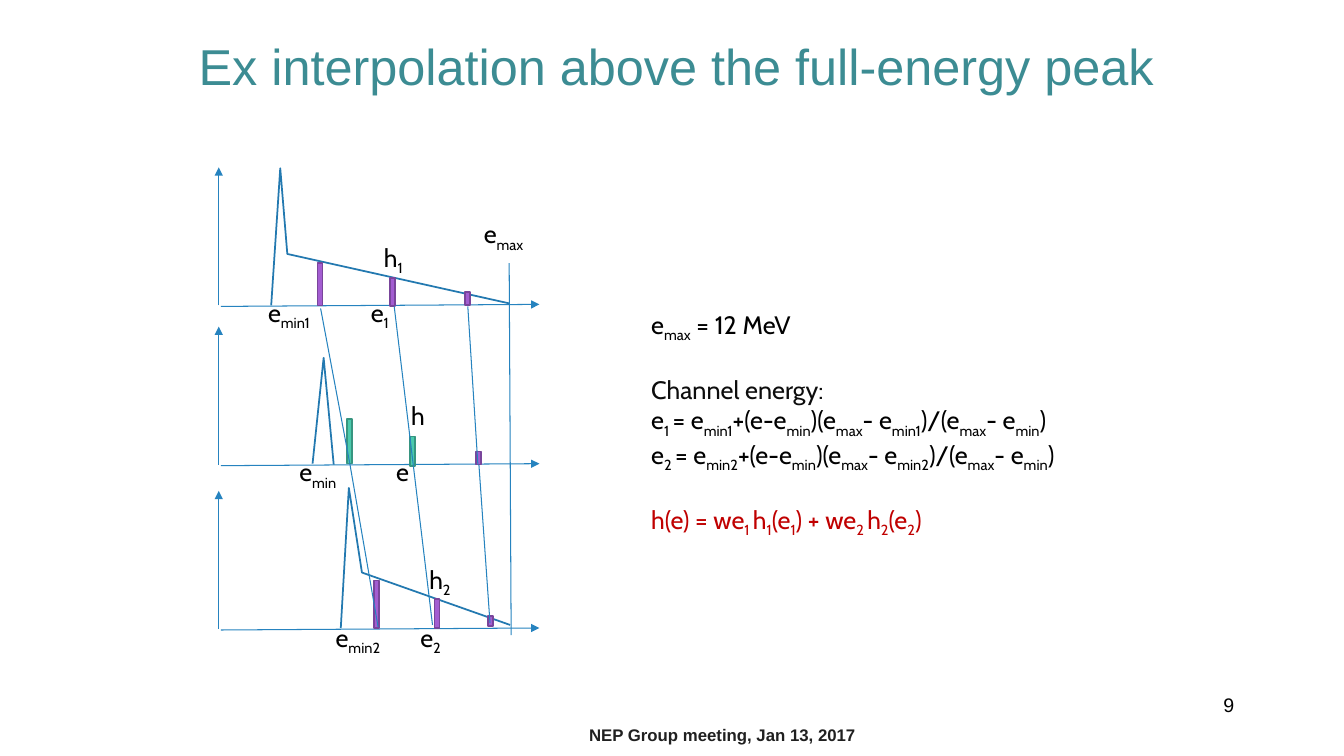
from lxml import etree
from pptx import Presentation
from pptx import util as u
from pptx.dml.color import RGBColor
from pptx.enum import shapes, text
from pptx.oxml.ns import qn

THEME = {
    "title": "3C8C93", "footer": "202020", "text": "000000", "heading": "0D0D0D",
    "result": "C00000", "axis": "2683BF", "curve": "2379B0",
    "purple": ("A35DD1", "79459B"), "green": ("4BCAAD", "379580"),
    "sans": "Arial", "label": "Cabin",
    "title_size": 36, "label_size": 18, "number_size": 14, "footer_size": 12,
}


def write(p, marked, color="text", size="label_size", font="label", bold=False):
    for i, part in enumerate(marked.split("~")):
        if part:
            r = p.add_run()
            r.text = part
            r.font.size = u.Pt(THEME[size])
            r.font.name = THEME[font]
            r.font.bold = bold
            r.font.color.rgb = RGBColor.from_string(THEME[color])
            if i % 2:
                r._r.get_or_add_rPr().set("baseline", "-25000")


def draw_line(x1, y1, x2, y2, arrow=False):
    sp = diagram.add_connector(shapes.MSO_CONNECTOR.STRAIGHT, *map(u.Inches, (x1, y1, x2, y2)))
    sp.line.color.rgb = RGBColor.from_string(THEME["axis"])
    sp.line.width = u.Pt(0.75)
    if arrow:
        etree.SubElement(sp.line._get_or_add_ln(), qn("a:tailEnd"), type="triangle")
    etree.SubElement(sp._element.spPr, qn("a:effectLst"))


prs = Presentation()
prs.slide_width, prs.slide_height = u.Inches(13.33), u.Inches(7.5)
s = prs.slides.add_slide(prs.slide_layouts[0])
subtitle = s.placeholders[1]._element
subtitle.getparent().remove(subtitle)

title = s.shapes.title
title.left, title.top, title.width, title.height = map(u.Inches, (1.31, 0.1, 10.8, 1.1))
title.text_frame.vertical_anchor = text.MSO_ANCHOR.MIDDLE
p = title.text_frame.paragraphs[0]
p.alignment = text.PP_ALIGN.CENTER
write(p, "Ex interpolation above the full-energy peak", "title", "title_size", "sans")

for box, words, align, color, size, bold in [
    ((4.54, 7.14, 5.25, 0.5), "NEP Group meeting, Jan 13, 2017", text.PP_ALIGN.CENTER, "footer", "footer_size", True),
    ((9.56, 6.83, 2.78, 0.5), "9", text.PP_ALIGN.RIGHT, "text", "number_size", False),
]:
    tf = s.shapes.add_textbox(*map(u.Inches, box)).text_frame
    tf.word_wrap = True
    tf.paragraphs[0].alignment = align
    write(tf.paragraphs[0], words, color, size, "sans", bold)

diagram = s.shapes.add_group_shape().shapes

for base in (3.03, 4.61, 6.24):
    draw_line(2.19, base + 0.01, 5.35, base - 0.01, arrow=True)
    draw_line(2.17, base, 2.17, base - 1.37, arrow=True)

for spectrum in [
    [(5.06, 6.2), (3.59, 5.68), (3.46, 4.84), (3.38, 6.23)],
    [(5.05, 3.01), (2.85, 2.52), (2.78, 1.67), (2.69, 3.03)],
    [(3.1, 4.6), (3.21, 3.55), (3.31, 4.61)],
]:
    start, *rest = [(u.Inches(x), u.Inches(y)) for x, y in spectrum]
    curve = diagram.build_freeform(*start)
    curve.add_line_segments(rest, close=False)
    sp = curve.convert_to_shape()
    sp.shadow.inherit = False
    sp.fill.background()
    sp.line.color.rgb = RGBColor.from_string(THEME["curve"])
    sp.line.width = u.Pt(1.25)

for x, y, height, color in [
    (3.15, 2.61, 0.42, "purple"), (3.87, 2.76, 0.28, "purple"), (4.61, 2.9, 0.13, "purple"),
    (3.44, 4.16, 0.44, "green"), (4.07, 4.33, 0.29, "green"), (4.72, 4.48, 0.13, "purple"),
    (3.71, 5.76, 0.47, "purple"), (4.31, 5.94, 0.29, "purple"), (4.84, 6.11, 0.1, "purple"),
]:
    sp = diagram.add_shape(shapes.MSO_SHAPE.RECTANGLE, *map(u.Inches, (x, y, 0.05, height)))
    fill, edge = THEME[color]
    sp.shadow.inherit = False
    sp.fill.solid()
    sp.fill.fore_color.rgb = RGBColor.from_string(fill)
    sp.line.color.rgb = RGBColor.from_string(edge)
    sp.line.width = u.Pt(1.25)

for ends in [
    (3.18, 3.06, 3.47, 4.6), (3.47, 4.6, 3.75, 6.22),
    (3.91, 3.04, 4.1, 4.62), (4.1, 4.62, 4.29, 6.2),
    (4.64, 3.04, 4.74, 4.61), (4.75, 4.61, 4.86, 6.18),
    (5.05, 2.61, 5.07, 6.3),
]:
    draw_line(*ends)

for x, y, width, label in [
    (3.71, 2.35, 0.41, "h~1"), (3.98, 3.92, 0.31, "h"), (4.16, 5.55, 0.41, "h~2"),
    (3.58, 2.9, 0.47, "e~1"), (3.83, 4.48, 0.33, "e"), (4.07, 6.12, 0.42, "e~2"),
    (2.56, 2.9, 0.78, "e~min1"), (2.87, 4.48, 0.69, "e~min"), (3.23, 6.12, 0.78, "e~min2"),
    (4.7, 2.12, 0.75, "e~max"),
]:
    tf = diagram.add_textbox(*map(u.Inches, (x, y, width, 0.4))).text_frame
    tf.word_wrap = False
    tf.auto_size = text.MSO_AUTO_SIZE.SHAPE_TO_FIT_TEXT
    write(tf.paragraphs[0], label)

tf = s.shapes.add_textbox(*map(u.Inches, (6.36, 3.02, 4.58, 2.22))).text_frame
tf.word_wrap = True
tf.auto_size = text.MSO_AUTO_SIZE.SHAPE_TO_FIT_TEXT
channel = "e~{0} ~= e~min{0}~+(e-e~min~)(e~max~- e~min{0}~)/(e~max~- e~min~)"
for i, (equation, color, gap) in enumerate([
    ("e~max~ = 12 MeV", "text", 0),
    ("Channel energy:", "heading", 22),
    (channel.format(1), "text", 0),
    (channel.format(2), "text", 0),
    ("h(e) = we~1 ~h~1~(e~1~) + we~2 ~h~2~(e~2~)", "result", 22),
]):
    p = tf.add_paragraph() if i else tf.paragraphs[0]
    p.space_before = u.Pt(gap)
    write(p, equation, color)

prs.save("out.pptx")
